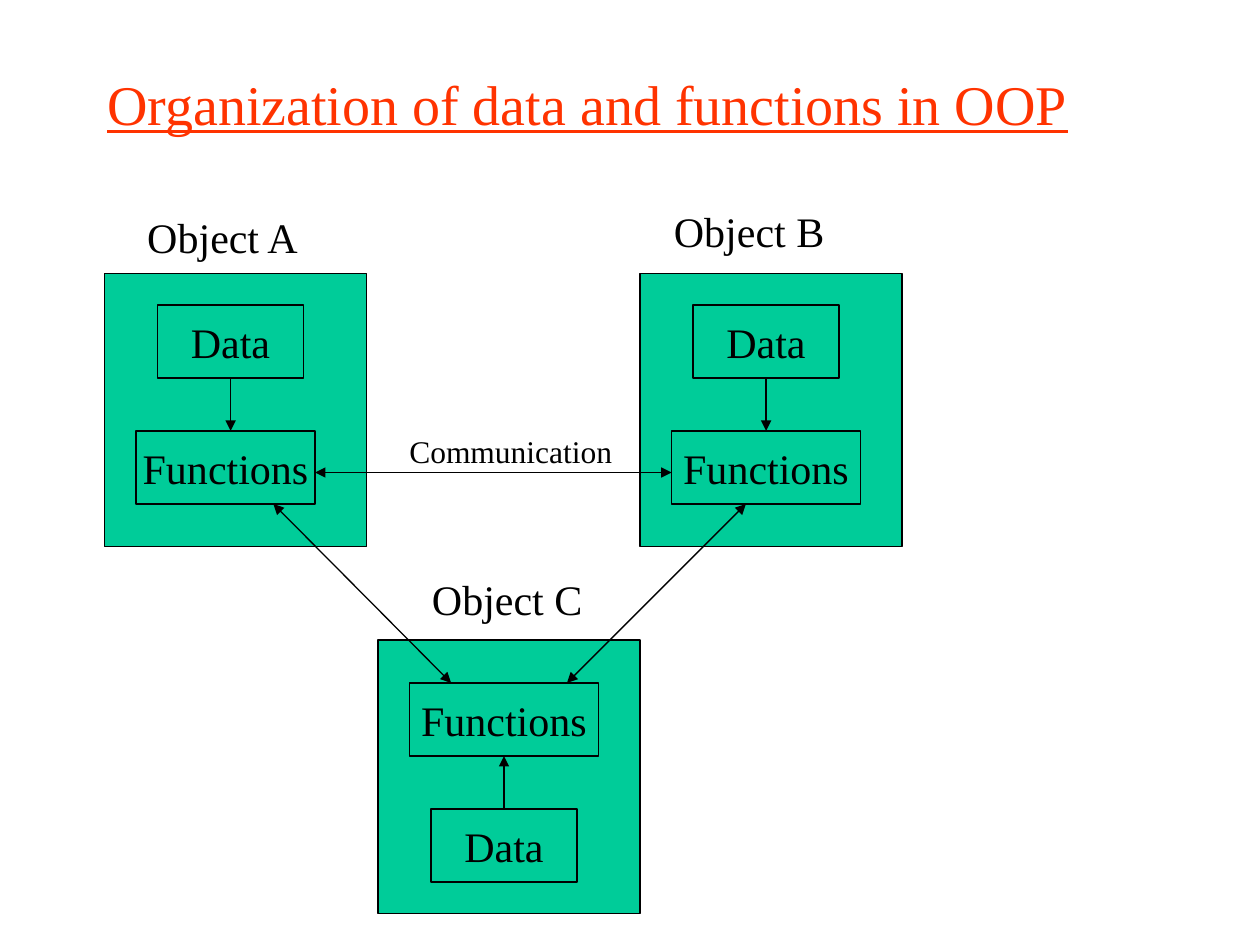
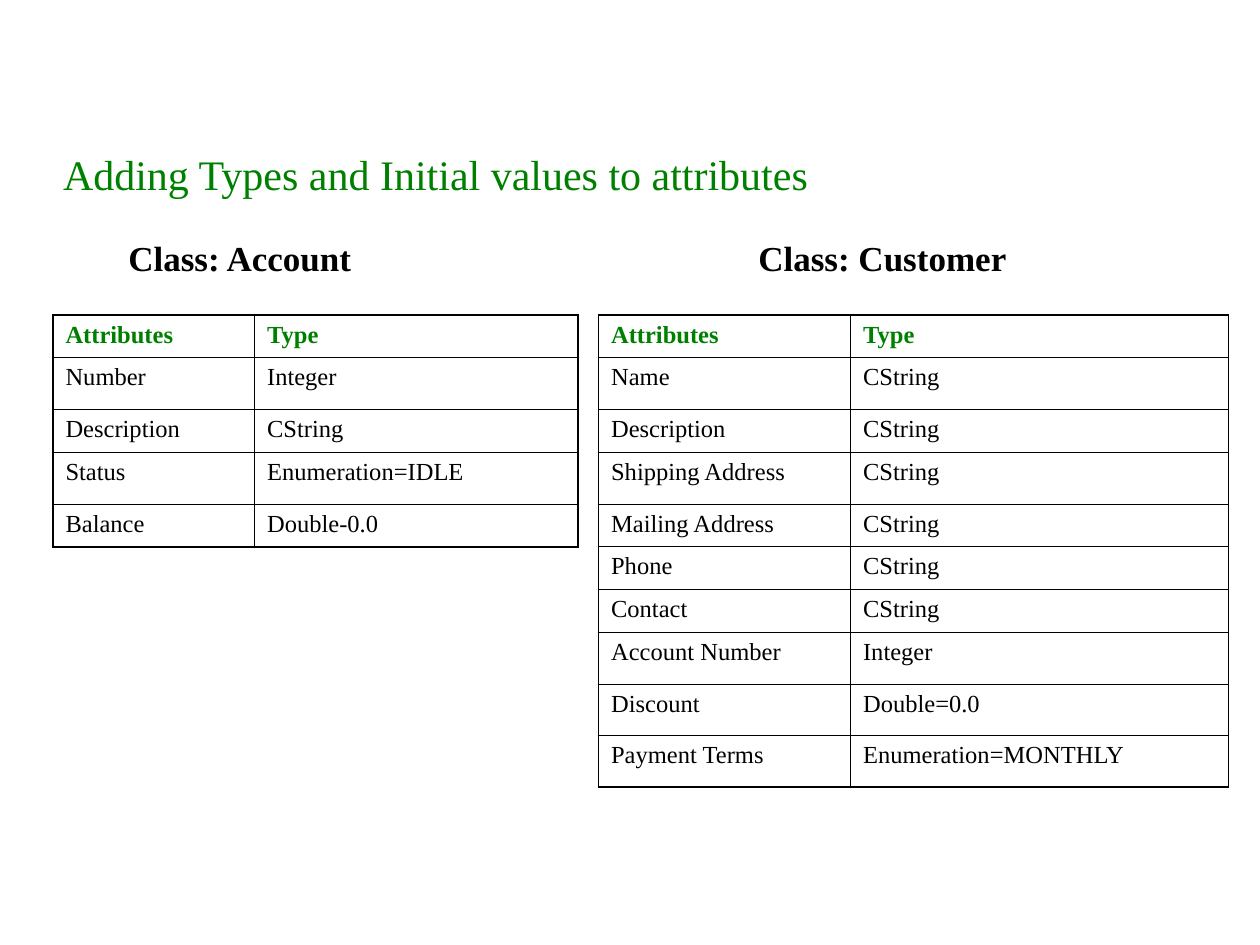
from dataclasses import dataclass

from lxml import etree
from pptx import Presentation
from pptx.dml.color import RGBColor
from pptx.enum.shapes import MSO_CONNECTOR, MSO_SHAPE
from pptx.enum.text import MSO_ANCHOR, MSO_AUTO_SIZE, PP_ALIGN
from pptx.oxml.ns import qn
from pptx.util import Inches, Pt

RECT = MSO_SHAPE.RECTANGLE
STRAIGHT = MSO_CONNECTOR.STRAIGHT
TOP, MIDDLE = MSO_ANCHOR.TOP, MSO_ANCHOR.MIDDLE
LEFT, CENTER = PP_ALIGN.LEFT, PP_ALIGN.CENTER
FIT_SHAPE = MSO_AUTO_SIZE.SHAPE_TO_FIT_TEXT
SIDE_TOP, SIDE_BOTTOM = 0, 2
TITLE_ONLY = 5


@dataclass(frozen=True)
class Theme:
    font: str = "Times New Roman"
    ink: str = "000000"
    accent: str = "FF3300"
    green: str = "008000"
    panel: str = "00CC99"
    title: int = 32
    body: int = 24
    heading: int = 20
    note: int = 18
    cell: int = 14
    line: float = 0.75
    outer_border: float = 1.08
    inner_border: float = 0.45


THEME = Theme()


# Shared helpers
def rgb(value):
    return RGBColor.from_string(value)


def write(tf, text, size, color=THEME.ink, bold=False, underline=False, align=LEFT):
    p = tf.paragraphs[0]
    p.alignment = align
    r = p.add_run()
    r.text = text
    f = r.font
    f.name, f.size, f.bold, f.underline = THEME.font, Pt(size), bold, underline
    f.color.rgb = rgb(color)
    return p


def place(sp, box):
    sp.left, sp.top, sp.width, sp.height = map(Inches, box)


def add_title(slide, box, text, size, color, underline=False):
    sp = slide.shapes.title
    place(sp, box)
    tf = sp.text_frame
    tf.word_wrap, tf.auto_size, tf.vertical_anchor = False, FIT_SHAPE, TOP
    write(tf, text, size, color, underline=underline)


def add_label(slide, box, text, size, bold=False):
    tf = slide.shapes.add_textbox(*map(Inches, box)).text_frame
    tf.word_wrap, tf.auto_size = False, FIT_SHAPE
    return write(tf, text, size, bold=bold)


def add_box(slide, box, text=None):
    sp = slide.shapes.add_shape(RECT, *map(Inches, box))
    sp.shadow.inherit = False
    sp.fill.solid()
    sp.fill.fore_color.rgb = rgb(THEME.panel)
    sp.line.color.rgb = rgb(THEME.ink)
    sp.line.width = Pt(THEME.line)
    if text:
        tf = sp.text_frame
        tf.word_wrap, tf.vertical_anchor = False, MIDDLE
        write(tf, text, THEME.body, align=CENTER)
    return sp


def add_arrow(slide, start, end, both_ends=False):
    cx = slide.shapes.add_connector(STRAIGHT, *map(Inches, start + end))
    cx.line.color.rgb = rgb(THEME.ink)
    cx.line.width = Pt(THEME.line)
    ln = cx.line._get_or_add_ln()
    for tag in ("a:headEnd", "a:tailEnd") if both_ends else ("a:tailEnd",):
        etree.SubElement(ln, qn(tag), type="triangle")
    etree.SubElement(cx._element.spPr, qn("a:effectLst"))
    return cx


# Object diagram
def add_object(slide, x, y, name, label_offset, functions_w=1.5, data_first=True):
    """Panel holding a data box and a functions box, joined by an arrow."""
    box_h, step, label_w = 0.58, 1.0, 1.45
    add_box(slide, (x, y, 2.08, 2.17))
    dx, dy = label_offset
    add_label(slide, (x + dx, y + dy, label_w, 0.5), name, THEME.body)

    first_y = y + (0.25 if data_first else 0.34)
    data_y, functions_y = first_y, first_y + step
    if not data_first:
        data_y, functions_y = functions_y, data_y
    data = add_box(slide, (x + 0.42, data_y, 1.16, box_h), "Data")
    functions = add_box(slide, (x + 0.25, functions_y, functions_w, box_h), "Functions")

    center = x + 1.0
    if data_first:
        start, end = (center, data_y + box_h), (center, functions_y)
        sides = SIDE_BOTTOM, SIDE_TOP
    else:
        start, end = (center, data_y), (center, functions_y + box_h)
        sides = SIDE_TOP, SIDE_BOTTOM
    cx = add_arrow(slide, start, end)
    cx.begin_connect(data, sides[0])
    middle = functions.left + functions.width // 2
    if abs(middle - cx.begin_x) < Inches(0.02):
        cx.end_connect(functions, sides[1])


def build_objects_slide(prs):
    slide = prs.slides.add_slide(prs.slide_layouts[TITLE_ONLY])
    add_title(slide, (0.75, 0.5, 7.84, 0.64), "Organization of data and functions in OOP",
              THEME.title, THEME.accent, underline=True)
    add_object(slide, 0.83, 2.17, "Object A", (0.24, -0.54), functions_w=1.42)
    add_object(slide, 5.08, 2.17, "Object B", (0.17, -0.59))
    add_object(slide, 3.0, 5.08, "Object C", (0.33, -0.58), data_first=False)

    # Links between the objects
    for start, end in (((2.5, 3.75), (5.33, 3.75)),
                       ((2.17, 4.0), (3.58, 5.42)),
                       ((5.92, 4.0), (4.5, 5.42))):
        add_arrow(slide, start, end, both_ends=True)
    add_label(slide, (3.15, 3.38, 1.81, 0.4), "Communication", THEME.note)


# Attribute tables
ROW, TALL_ROW = 0.34, 0.41
HEADER = ("Attributes", "Type", ROW)
ACCOUNT = [
    HEADER,
    ("Number", "Integer", TALL_ROW),
    ("Description", "CString", ROW),
    ("Status", "Enumeration=IDLE", TALL_ROW),
    ("Balance", "Double-0.0", ROW),
]
CUSTOMER = [
    HEADER,
    ("Name", "CString", TALL_ROW),
    ("Description", "CString", ROW),
    ("Shipping Address", "CString", TALL_ROW),
    ("Mailing Address", "CString", ROW),
    ("Phone", "CString", ROW),
    ("Contact", "CString", ROW),
    ("Account Number", "Integer", TALL_ROW),
    ("Discount", "Double=0.0", TALL_ROW),
    ("Payment Terms", "Enumeration=MONTHLY", TALL_ROW),
]


def set_borders(cell, outer):
    """Draw all four sides, heavier where a side is on the table's edge."""
    tc_pr = cell._tc.get_or_add_tcPr()
    for i, side in enumerate(("lnL", "lnR", "lnT", "lnB")):
        width = THEME.outer_border if side in outer else THEME.inner_border
        ln = etree.Element(qn(f"a:{side}"), w=str(Pt(width)))
        fill = etree.SubElement(ln, qn("a:solidFill"))
        etree.SubElement(fill, qn("a:srgbClr"), val=THEME.ink)
        tc_pr.insert(i, ln)


def add_attribute_table(slide, x, y, col_widths, rows):
    height = sum(h for _, _, h in rows)
    frame = slide.shapes.add_table(len(rows), len(col_widths), Inches(x), Inches(y),
                                   Inches(sum(col_widths)), Inches(height))
    table = frame.table
    table.first_row = table.horz_banding = False
    for col, width in zip(table.columns, col_widths):
        col.width = Inches(width)
    for i, (*texts, row_h) in enumerate(rows):
        table.rows[i].height = Inches(row_h)
        for j, text in enumerate(texts):
            cell = table.cell(i, j)
            cell.fill.background()
            is_header = i == 0
            write(cell.text_frame, text, THEME.cell,
                  THEME.green if is_header else THEME.ink, bold=is_header)
            outer = {"lnL" if j == 0 else "lnR"}
            if is_header:
                outer.add("lnT")
            if i == len(rows) - 1:
                outer.add("lnB")
            set_borders(cell, outer)


def build_attributes_slide(prs):
    slide = prs.slides.add_slide(prs.slide_layouts[TITLE_ONLY])
    add_title(slide, (0.4, 1.13, 6.14, 0.5), "Adding Types and Initial values to attributes",
              THEME.body, THEME.green)

    # Class names, the second set at a tab stop
    p = add_label(slide, (0.92, 1.83, 7.17, 0.44), "Class: Account\tClass: Customer",
                  THEME.heading, bold=True)
    tabs = etree.SubElement(p._p.get_or_add_pPr(), qn("a:tabLst"))
    etree.SubElement(tabs, qn("a:tab"), pos=str(Inches(5)), algn="l")

    add_attribute_table(slide, 0.42, 2.5, (1.6, 2.57), ACCOUNT)
    add_attribute_table(slide, 4.75, 2.5, (2, 3), CUSTOMER)


def main():
    prs = Presentation()
    prs.slide_width, prs.slide_height = Inches(10), Inches(7.5)
    build_objects_slide(prs)
    build_attributes_slide(prs)
    prs.save("out.pptx")


if __name__ == "__main__":
    main()
